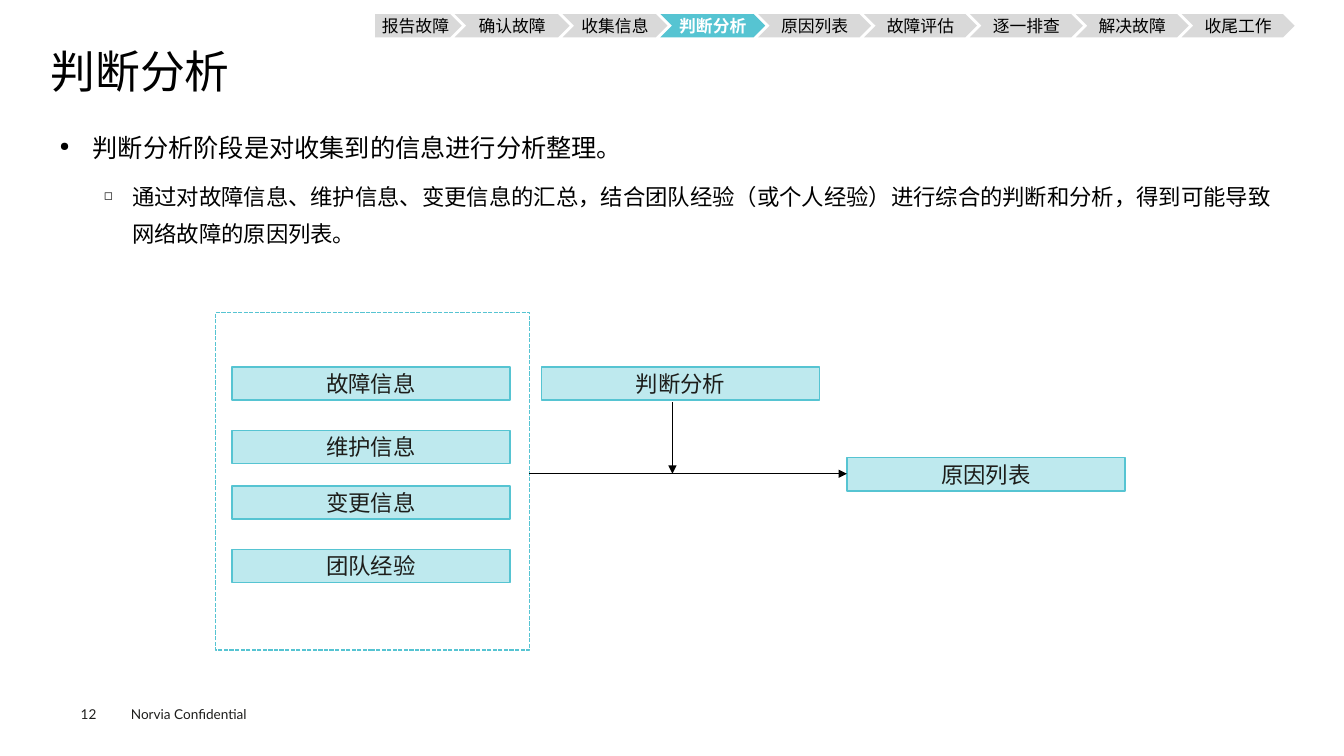
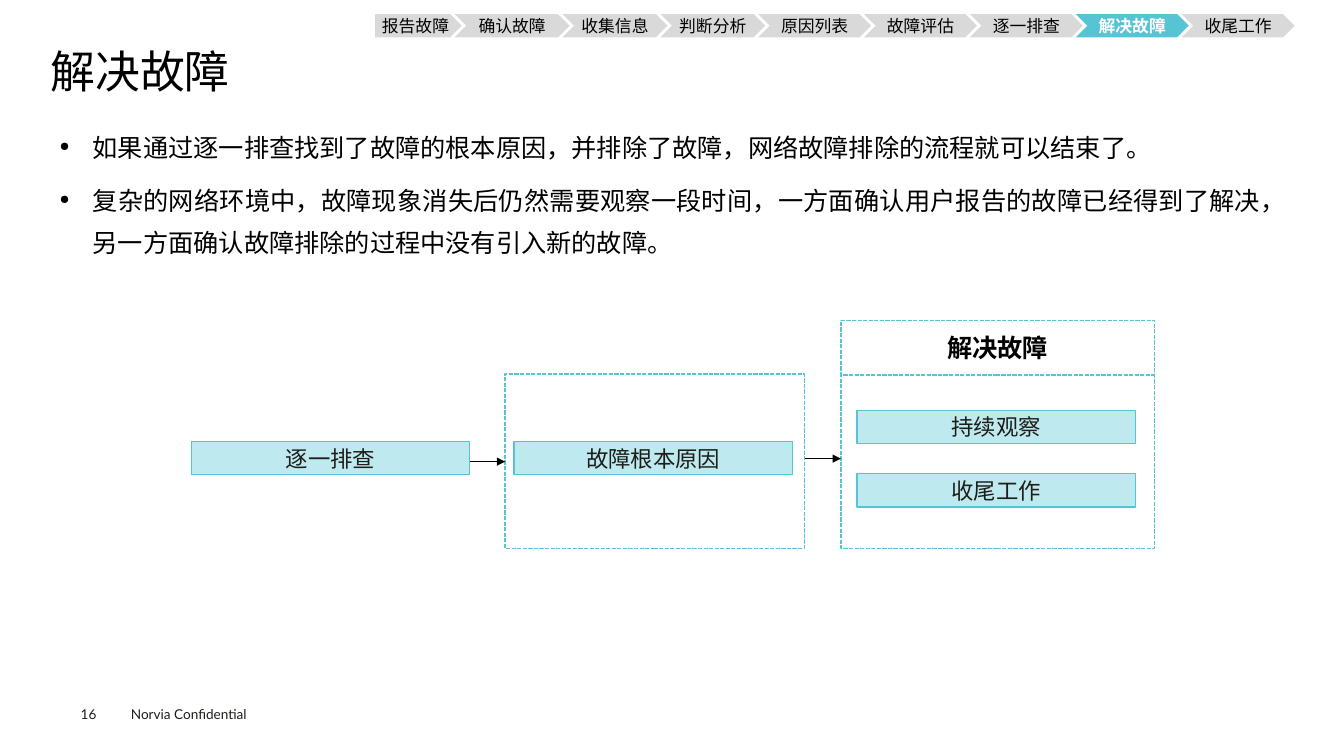
from itertools import accumulate

from lxml import etree
from pptx import Presentation
from pptx.dml.color import RGBColor
from pptx.enum import dml, shapes, text
from pptx.oxml.ns import qn
from pptx.util import Inches, Pt

COLORS = {
    "black": "000000",
    "white": "FFFFFF",
    "footer": "1D1D1B",
    "label": "1D1D1A",
    "accent": "56C4D2",
    "pale": "BEE9EE",
    "step": "D9D9D9",
}
FONT = "Lato"
STEPS = ["报告故障", "确认故障", "收集信息", "判断分析", "原因列表",
         "故障评估", "逐一排查", "解决故障", "收尾工作"]
STEP_WIDTHS = [0.86, 1.14, 1.04, 1.04] + [1.12] * 5
STEP_START, STEP_OVERLAP = 3.72, 0.07
BOX_WIDTH, BOX_HEIGHT = 2.76, 0.33
# Per level: size, indent, hanging, space before, bullet, alignment
LEVELS = [
    (18, 0.33, 0.33, 7.9, "●", text.PP_ALIGN.JUSTIFY),
    (16, 0.72, 0.28, 7.2, "◻", text.PP_ALIGN.LEFT),
]


def rgb(color):
    return RGBColor.from_string(COLORS[color])


class Deck:
    def __init__(self):
        self.prs = Presentation()
        self.prs.slide_width = Inches(13.33)
        self.prs.slide_height = Inches(7.5)
        self.slide = None

    def new_slide(self, title, number):
        """Start a slide with its title, footer and step band."""
        self.slide = self.prs.slides.add_slide(self.prs.slide_layouts[6])
        self.text_box("Norvia Confidential", 1.2, 6.95, 1.6, 0.27, 9.7, "footer",
                      margins=(0.1, 0.05))
        self.text_box(str(number), 0.8, 7, 0.55, 0.16, 9.7, "footer")
        heading = self.text_box(title, 0.5, 0.49, 12.35, 0.53, 32, "black")
        heading.line_spacing = 0.9
        self.step_band(title)

    def style(self, paragraph, size, color, bold=False):
        """Set the font for Latin and East Asian text alike."""
        font = paragraph.font
        font.size = Pt(size)
        font.bold = bold
        font.color.rgb = rgb(color)
        font.name = FONT
        defaults = paragraph._p.pPr.find(qn("a:defRPr"))
        etree.SubElement(defaults, qn("a:ea")).set("typeface", FONT)

    def frame(self, shape, margins=(0, 0)):
        """Prepare a wrapping text frame with (side, top and bottom) margins."""
        frame = shape.text_frame
        frame.word_wrap = True
        frame.margin_left = frame.margin_right = Inches(margins[0])
        frame.margin_top = frame.margin_bottom = Inches(margins[1])
        return frame

    def text_box(self, words, left, top, width, height, size, color, margins=(0, 0)):
        box = self.slide.shapes.add_textbox(
            Inches(left), Inches(top), Inches(width), Inches(height))
        paragraph = self.frame(box, margins).paragraphs[0]
        paragraph.text = words
        self.style(paragraph, size, color)
        return paragraph

    def bullets(self, items):
        """Write the body from (level, words) pairs."""
        body = self.slide.shapes.add_textbox(
            Inches(0.5), Inches(1.15), Inches(12.35), Inches(5.34))
        frame = self.frame(body, (0.09, 0.04))
        for index, (level, words) in enumerate(items):
            size, indent, hanging, before, bullet, align = LEVELS[level]
            paragraph = frame.add_paragraph() if index else frame.paragraphs[0]
            paragraph.text = words
            paragraph.level = level
            paragraph.alignment = align
            paragraph.line_spacing = 1.4
            if index:
                paragraph.space_before = Pt(before)
            props = paragraph._p.get_or_add_pPr()
            props.set("marL", str(Inches(indent)))
            props.set("indent", str(-Inches(hanging)))
            etree.SubElement(props, qn("a:buSzPct")).set("val", "50000")
            etree.SubElement(props, qn("a:buChar")).set("char", bullet)
            self.style(paragraph, size, "black")

    def block(self, kind, left, top, width, height, fill, line=None,
              words="", size=16, color="label", bold=False):
        """Draw a filled shape with optional outline and centred words."""
        shape = self.slide.shapes.add_shape(
            kind, Inches(left), Inches(top), Inches(width), Inches(height))
        shape.shadow.inherit = False
        shape.fill.solid()
        shape.fill.fore_color.rgb = rgb(fill)
        if line:
            shape.line.color.rgb = rgb(line)
            shape.line.width = Pt(1)
        else:
            shape.line.fill.background()
        if words:
            frame = self.frame(shape)
            frame.vertical_anchor = text.MSO_ANCHOR.MIDDLE
            paragraph = frame.paragraphs[0]
            paragraph.text = words
            paragraph.alignment = text.PP_ALIGN.CENTER
            self.style(paragraph, size, color, bold)
        return shape

    def step_band(self, current):
        lefts = accumulate((width - STEP_OVERLAP for width in STEP_WIDTHS),
                           initial=STEP_START)
        for index, (step, left, width) in enumerate(zip(STEPS, lefts, STEP_WIDTHS)):
            active = step == current
            kind = shapes.MSO_SHAPE.CHEVRON if index else shapes.MSO_SHAPE.PENTAGON
            self.block(kind, left, 0.14, width, 0.23,
                       "accent" if active else "step", words=step, size=12,
                       color="white" if active else "black", bold=active)

    def box(self, words, left, top):
        self.block(shapes.MSO_SHAPE.RECTANGLE, left, top, BOX_WIDTH, BOX_HEIGHT,
                   "pale", "accent", words)

    def group(self, left, top, width, height, heading=""):
        """Draw a dashed outline around related boxes."""
        outline = self.block(shapes.MSO_SHAPE.RECTANGLE, left, top, width, height,
                             "white", "accent", heading, 18, "black", True)
        outline.line.dash_style = dml.MSO_LINE.SQUARE_DOT

    def arrow(self, x1, y1, x2, y2):
        arrow = self.slide.shapes.add_connector(
            shapes.MSO_CONNECTOR.STRAIGHT,
            Inches(x1), Inches(y1), Inches(x2), Inches(y2))
        arrow.line.color.rgb = rgb("black")
        arrow.line.width = Pt(0.75)
        props = arrow._element.spPr
        etree.SubElement(props.find(qn("a:ln")), qn("a:tailEnd")).set("type", "triangle")
        etree.SubElement(props, qn("a:effectLst"))


def analysis_slide(deck):
    deck.new_slide("判断分析", 12)
    deck.group(2.14, 3.1, 3.11, 3.35)
    deck.bullets([
        (0, "判断分析阶段是对收集到的信息进行分析整理。"),
        (1, "通过对故障信息、维护信息、变更信息的汇总，结合团队经验（或个人经验）"
            "进行综合的判断和分析，得到可能导致网络故障的原因列表。"),
    ])
    inputs = {"故障信息": 3.64, "维护信息": 4.27, "变更信息": 4.82, "团队经验": 5.45}
    for words, top in inputs.items():
        deck.box(words, 2.3, top)
    deck.box("判断分析", 5.37, 3.64)
    deck.box("原因列表", 8.4, 4.54)
    deck.arrow(5.25, 4.7, 8.4, 4.7)
    deck.arrow(6.67, 3.99, 6.67, 4.7)


def resolution_slide(deck):
    deck.new_slide("解决故障", 16)
    deck.bullets([
        (0, "如果通过逐一排查找到了故障的根本原因，并排除了故障，"
            "网络故障排除的流程就可以结束了。"),
        (0, "复杂的网络环境中，故障现象消失后仍然需要观察一段时间，"
            "一方面确认用户报告的故障已经得到了解决，"
            "另一方面确认故障排除的过程中没有引入新的故障。"),
    ])
    deck.group(5.01, 3.71, 2.97, 1.73)
    deck.group(8.34, 3.71, 3.11, 1.73)
    deck.group(8.34, 3.18, 3.11, 0.54, "解决故障")
    deck.box("逐一排查", 1.9, 4.38)
    deck.box("故障根本原因", 5.1, 4.38)
    deck.box("持续观察", 8.5, 4.07)
    deck.box("收尾工作", 8.5, 4.7)
    deck.arrow(4.66, 4.58, 5.01, 4.58)
    deck.arrow(7.98, 4.55, 8.34, 4.55)


def main():
    deck = Deck()
    analysis_slide(deck)
    resolution_slide(deck)
    deck.prs.save("out.pptx")


if __name__ == "__main__":
    main()
